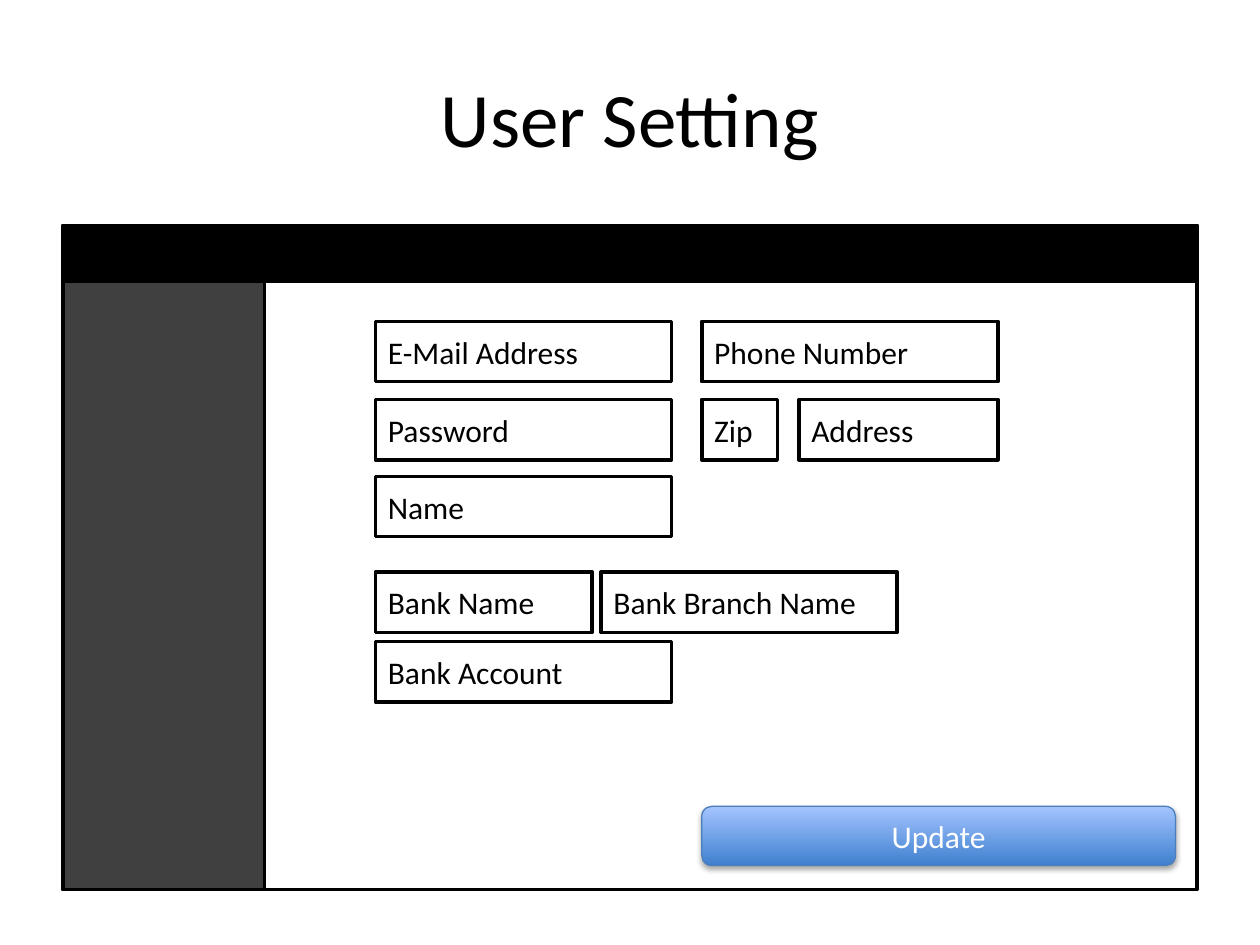
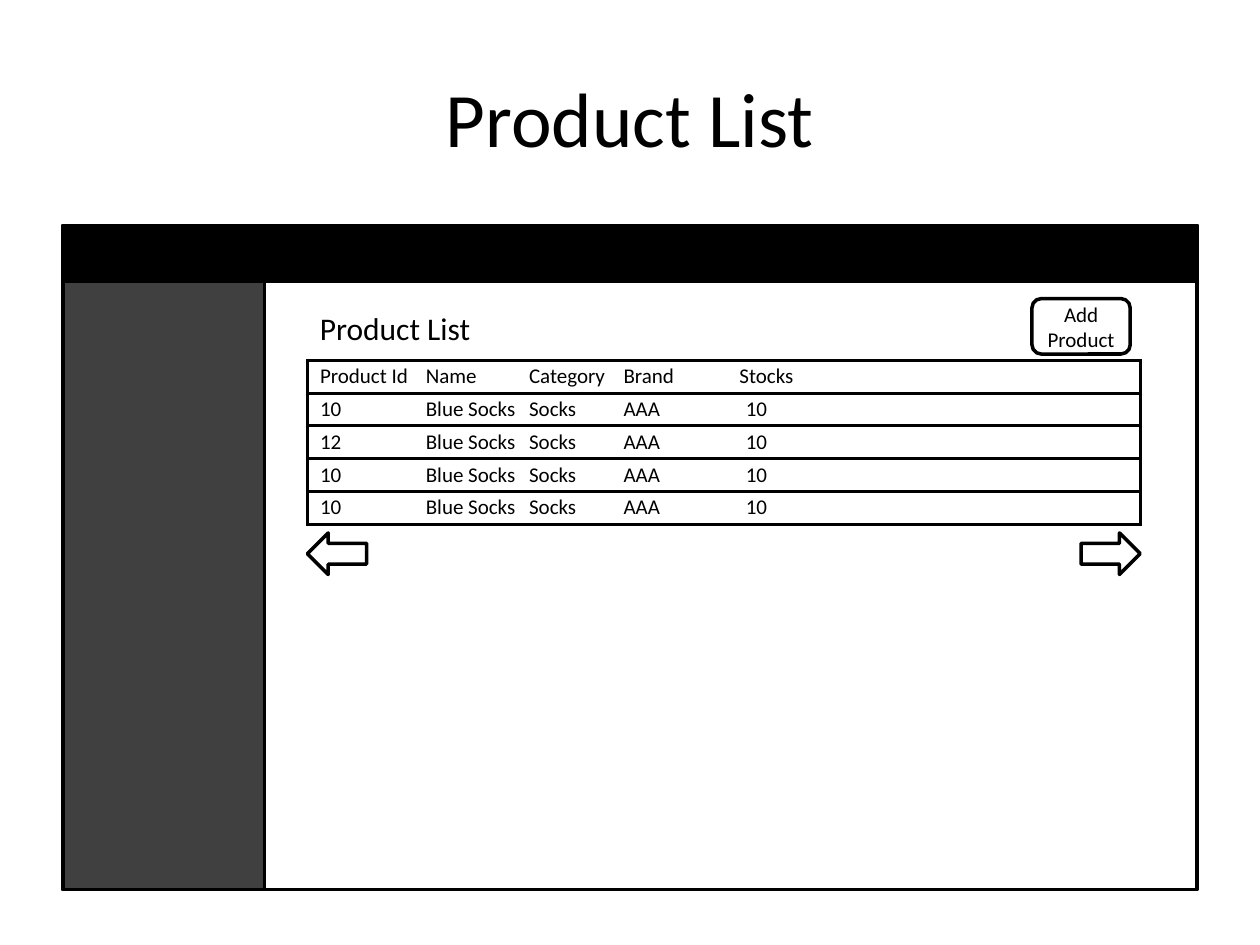
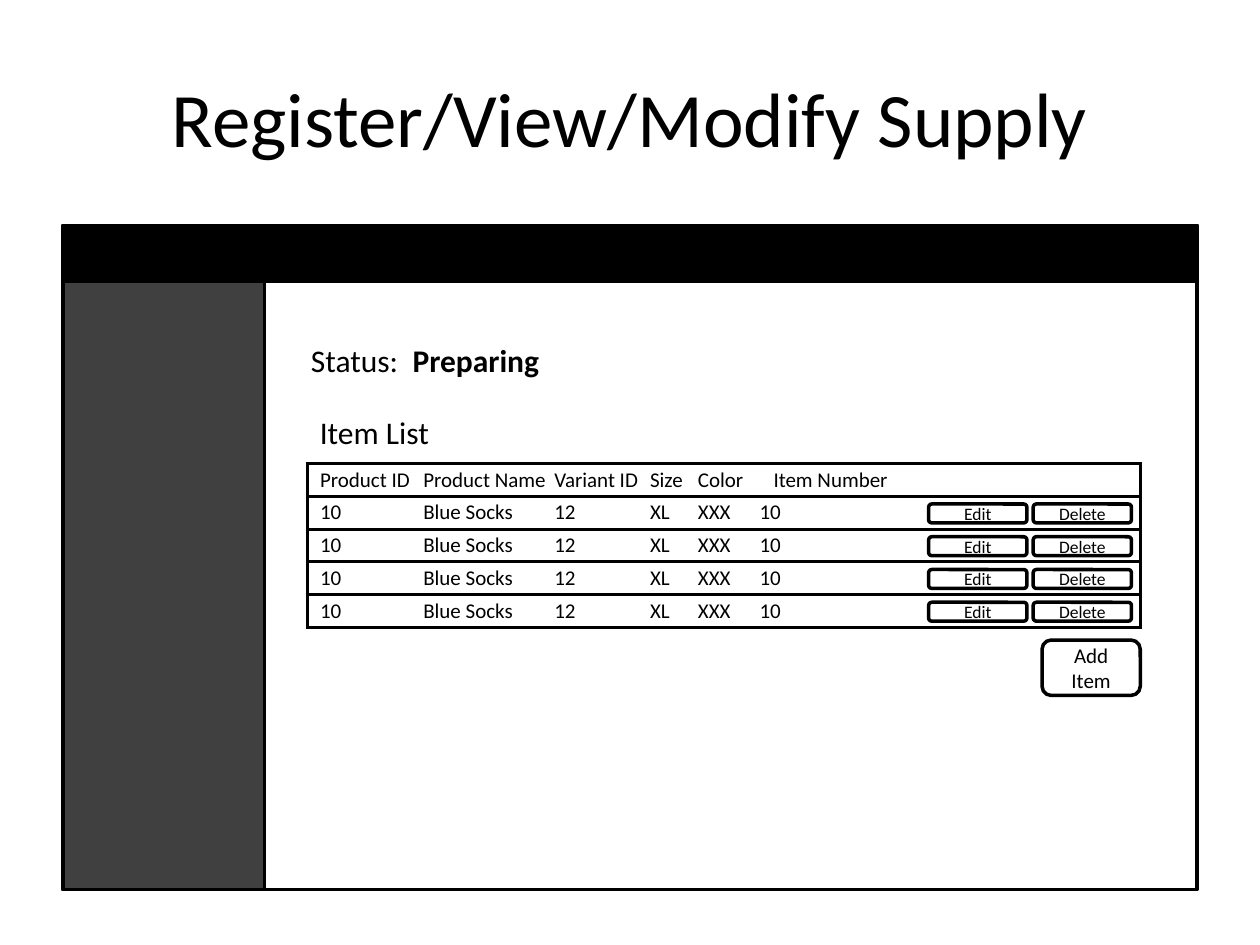
import dataclasses

import lxml.etree
import pptx
import pptx.dml.color
import pptx.enum.shapes
import pptx.enum.text
import pptx.oxml
import pptx.oxml.ns
import pptx.util

Inches = pptx.util.Inches
Pt = pptx.util.Pt
MSO_SHAPE = pptx.enum.shapes.MSO_SHAPE
PP_ALIGN = pptx.enum.text.PP_ALIGN
MSO_ANCHOR = pptx.enum.text.MSO_ANCHOR


@dataclasses.dataclass(frozen=True)
class Theme:
    font: str = "Calibri"
    ink: str = "000000"
    paper: str = "FFFFFF"
    sidebar: str = "404040"
    accent_dark: str = "3F80CE"
    accent_light: str = "A4C4FF"
    accent_line: str = "4B7EBC"
    title: int = 44
    label: int = 18
    cell: int = 12
    small: int = 10
    line: float = 2
    thin: float = 0.75


def rgb(value):
    return pptx.dml.color.RGBColor.from_string(value)


class Wireframe:
    """Draws wireframe elements on the current slide in one shared style."""

    def __init__(self, prs, theme):
        self.prs = prs
        self.theme = theme
        self.s = None

    def add_text(self, p, text, size, color=None, bold=False):
        r = p.add_run()
        r.text = text
        r.font.name = self.theme.font
        r.font.size = Pt(size)
        r.font.bold = bold
        r.font.color.rgb = rgb(color or self.theme.ink)

    def page(self, title):
        t = self.theme
        self.s = self.prs.slides.add_slide(self.prs.slide_layouts[5])
        sp = self.s.shapes.title
        sp.left, sp.top, sp.width, sp.height = map(Inches, (0.5, 0.3, 9, 1.25))
        tf = sp.text_frame
        tf.vertical_anchor = MSO_ANCHOR.MIDDLE
        tf.paragraphs[0].alignment = PP_ALIGN.CENTER
        self.add_text(tf.paragraphs[0], title, t.title)
        self.shape(MSO_SHAPE.RECTANGLE, 0.5, 1.79, 9, 5.27, fill=None)
        self.shape(MSO_SHAPE.RECTANGLE, 0.5, 1.79, 9, 0.44, fill=t.ink)
        self.shape(MSO_SHAPE.RECTANGLE, 0.5, 2.23, 1.6, 4.83, fill=t.sidebar)

    def shape(self, kind, x, y, w, h, fill=Theme.paper):
        sp = self.s.shapes.add_shape(kind, *map(Inches, (x, y, w, h)))
        sp.shadow.inherit = False
        if fill:
            sp.fill.solid()
            sp.fill.fore_color.rgb = rgb(fill)
        else:
            sp.fill.background()
        sp.line.color.rgb = rgb(self.theme.ink)
        sp.line.width = Pt(self.theme.line)
        return sp

    def caption(self, sp, text, size, align, color=None):
        tf = sp.text_frame
        tf.word_wrap = True
        tf.vertical_anchor = MSO_ANCHOR.MIDDLE
        p = tf.paragraphs[0]
        p.alignment = align
        self.add_text(p, text, size, color)

    def field(self, text, x, y, w=2.35):
        sp = self.shape(MSO_SHAPE.RECTANGLE, x, y, w, 0.48)
        self.caption(sp, text, self.theme.label, PP_ALIGN.LEFT)

    def button(self, text, x, y, h=0.44, size=None):
        sp = self.shape(MSO_SHAPE.ROUNDED_RECTANGLE, x, y, 0.78, h)
        self.caption(sp, text, size or self.theme.cell, PP_ALIGN.CENTER)

    def primary_button(self, text, x, y, w, h):
        t = self.theme
        sp = self.shape(MSO_SHAPE.ROUNDED_RECTANGLE, x, y, w, h)
        sp.fill.gradient()
        sp.fill.gradient_angle = 90
        for stop, color in zip(sp.fill.gradient_stops, (t.accent_dark, t.accent_light)):
            stop.color.rgb = rgb(color)
        sp.line.color.rgb = rgb(t.accent_line)
        sp.line.width = Pt(t.thin)
        effects = sp._element.spPr.find(pptx.oxml.ns.qn("a:effectLst"))
        effects.append(pptx.oxml.parse_xml(
            f'<a:outerShdw {pptx.oxml.ns.nsdecls("a")} blurRad="{Pt(3.1)}" dist="{Pt(1.8)}" '
            f'dir="5400000" rotWithShape="0"><a:srgbClr val="{t.ink}">'
            '<a:alpha val="35000"/></a:srgbClr></a:outerShdw>'))
        self.caption(sp, text, t.label, PP_ALIGN.CENTER, t.paper)

    def label(self, x, y, w, *runs):
        tf = self.s.shapes.add_textbox(*map(Inches, (x, y, w, 0.4))).text_frame
        tf.word_wrap = False
        for text, bold in runs:
            self.add_text(tf.paragraphs[0], text, self.theme.label, bold=bold)

    def borders(self, cell, sides):
        qn = pptx.oxml.ns.qn
        tcPr = cell._tc.get_or_add_tcPr()
        for i, side in enumerate(("lnL", "lnR", "lnT", "lnB")):
            ln = lxml.etree.Element(qn(f"a:{side}"), w=str(Pt(self.theme.line)))
            if side in sides:
                fill = lxml.etree.SubElement(ln, qn("a:solidFill"))
                lxml.etree.SubElement(fill, qn("a:srgbClr"), val=self.theme.ink)
            else:
                lxml.etree.SubElement(ln, qn("a:noFill"))
            tcPr.insert(i, ln)

    def table(self, y, edges, rows, pitch, head_indent=0, body_indent=0):
        last = len(edges) - 2
        frame = self.s.shapes.add_table(
            len(rows), last + 1, Inches(edges[0]), Inches(y),
            Inches(edges[-1] - edges[0]), Inches(pitch * len(rows)))
        tbl = frame.table
        tbl.first_row = tbl.horz_banding = False
        for column, left, right in zip(tbl.columns, edges, edges[1:]):
            column.width = Inches(right - left)
        for i, row in enumerate(rows):
            tbl.rows[i].height = Inches(pitch)
            for j, text in enumerate(row):
                cell = tbl.cell(i, j)
                indent = (body_indent if i else head_indent) if j == last else 0
                cell.margin_left = Inches((0.02 if j else 0.1) + indent)
                cell.margin_right = cell.margin_top = cell.margin_bottom = 0
                cell.vertical_anchor = MSO_ANCHOR.MIDDLE
                cell.fill.solid()
                cell.fill.fore_color.rgb = rgb(self.theme.paper)
                sides = {"lnT", "lnB"}
                if j == 0:
                    sides.add("lnL")
                if j == last:
                    sides.add("lnR")
                self.borders(cell, sides)
                self.add_text(cell.text_frame.paragraphs[0], text, self.theme.cell)


prs = pptx.Presentation()
prs.slide_width, prs.slide_height = Inches(10), Inches(7.5)
theme = Theme()
w = Wireframe(prs, theme)
left, right, pitch = 2.44, 9.05, 0.26

w.page("User Setting")
form_left, form_right = 2.98, 5.57
for text, y in (("E-Mail Address", 2.55), ("Password", 3.17), ("Name", 3.78), ("Bank Account", 5.09)):
    w.field(text, form_left, y)
w.field("Bank Name", form_left, 4.54, 1.72)
w.field("Bank Branch Name", 4.77, 4.54)
w.field("Phone Number", form_right, 2.55)
w.field("Zip", form_right, 3.17, 0.6)
w.field("Address", 6.34, 3.17, 1.58)
w.primary_button("Update", form_right, 6.4, 3.76, 0.47)

w.page("Product List")
products = [["Product Id", "Name", "Category", "Brand", "Stocks"]]
products += [[number, "Blue Socks", "Socks", "AAA", "10"] for number in ("10", "12", "10", "10")]
w.table(2.86, (left, 3.36, 4.18, 4.93, 5.85, right), products, pitch, body_indent=0.05)
w.label(left, 2.4, 1.41, ("Product List", False))
w.shape(MSO_SHAPE.RIGHT_ARROW, 8.58, 4.23, 0.47, 0.33)
w.shape(MSO_SHAPE.LEFT_ARROW, left, 4.23, 0.47, 0.33)
w.button("Add Product", 8.19, 2.37)

w.page("Register/View/Modify Supply")
items = [["Product ID", "Product Name", "Variant ID", "Size", "Color", "Item Number"]]
items += [["10", "Blue Socks", "12", "XL", "XXX", "10"]] * 4
w.table(3.68, (left, 3.34, 4.38, 5.14, 5.52, 6.01, right), items, pitch, head_indent=0.11)
w.label(left, 3.23, 1.09, ("Item List", False))
w.label(2.37, 2.66, 2.04, ("Status:  ", False), ("Preparing", True))
for i in range(len(items) - 1):
    for text, x in (("Edit", 7.37), ("Delete", 8.2)):
        w.button(text, x, 4 + i * pitch, 0.15, theme.small)
w.button("Add Item", 8.27, 5.08)

prs.save("out.pptx")
